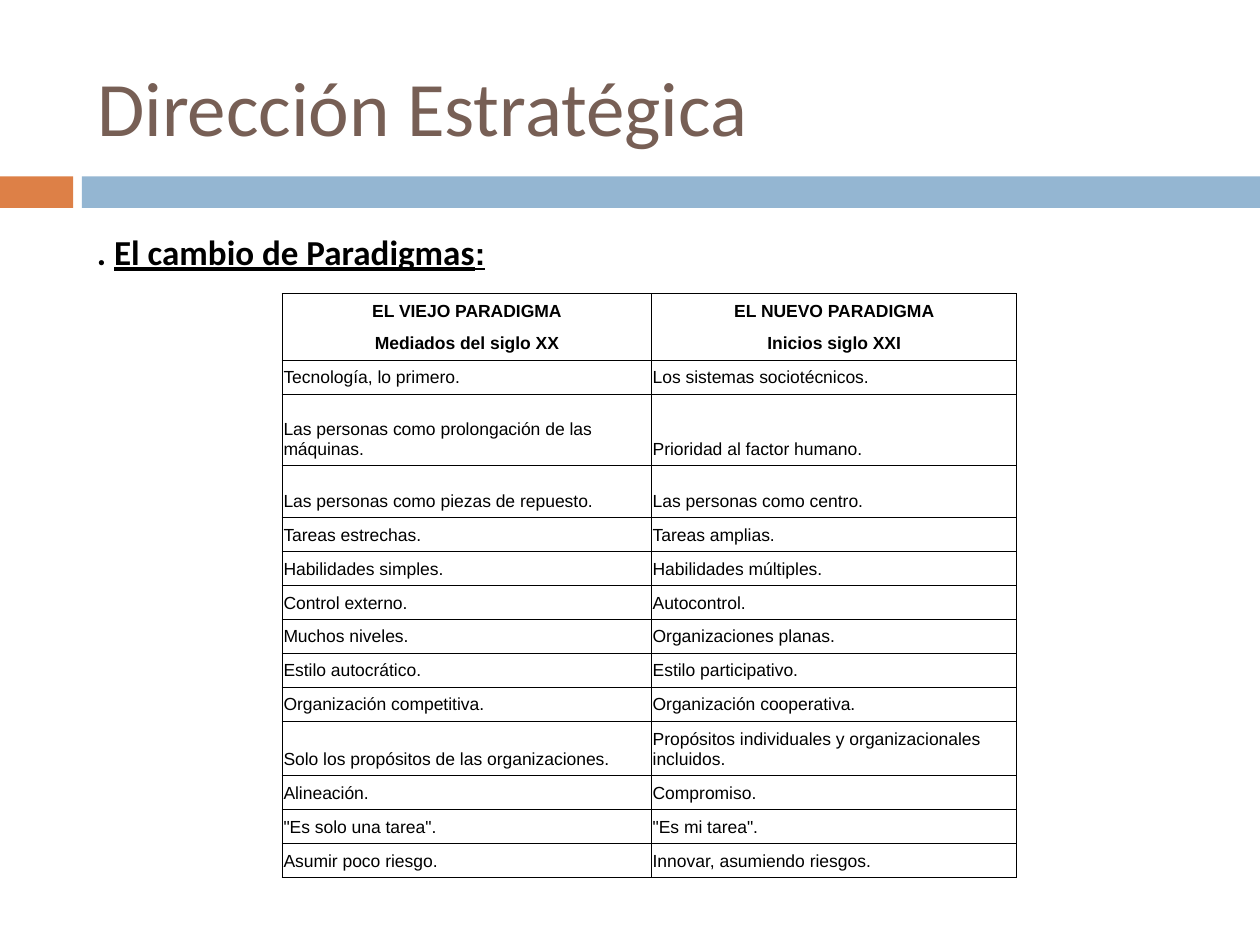
from lxml import etree
from pptx import Presentation
from pptx.dml.color import RGBColor
from pptx.enum.shapes import MSO_SHAPE
from pptx.enum.text import MSO_ANCHOR, PP_ALIGN
from pptx.oxml.ns import qn
from pptx.util import Inches, Pt

RECT = MSO_SHAPE.RECTANGLE
MIDDLE, BOTTOM = MSO_ANCHOR.MIDDLE, MSO_ANCHOR.BOTTOM
LEFT, CENTER = PP_ALIGN.LEFT, PP_ALIGN.CENTER
THIN, THICK = 0.23, 0.75


def add_run(para, text, size, face, color="000000", bold=False, under=False):
    run = para.add_run()
    run.text = text
    font = run.font
    font.size, font.name = Pt(size), face
    font.bold, font.underline = bold, under
    font.color.rgb = RGBColor.from_string(color)


def add_edge(cell, side, width):
    """Draw one black cell border; a width of 0 hides it."""
    props = cell._tc.get_or_add_tcPr()
    line = etree.SubElement(props, qn("a:ln" + side), w=str(Pt(width)))
    if width:
        fill = etree.SubElement(line, qn("a:solidFill"))
        etree.SubElement(fill, qn("a:srgbClr"), val="000000")
    else:
        etree.SubElement(line, qn("a:noFill"))


prs = Presentation()
prs.slide_width, prs.slide_height = Inches(10), Inches(7.5)
slide = prs.slides.add_slide(prs.slide_layouts[5])

# Band under the title
for left, width, color in [(0, 0.58, "DD8047"), (0.65, 9.35, "94B6D2")]:
    bar = slide.shapes.add_shape(RECT, Inches(left), Inches(1.4),
                                 Inches(width), Inches(0.25))
    bar.shadow.inherit = False
    bar.fill.solid()
    bar.fill.fore_color.rgb = RGBColor.from_string(color)
    bar.line.fill.background()

title = slide.shapes.title
title.left, title.top = Inches(0.67), Inches(0.3)
title.width, title.height = Inches(8.92), Inches(1.08)
title.text_frame.vertical_anchor = MIDDLE
para = title.text_frame.paragraphs[0]
para.alignment = LEFT
add_run(para, "Dirección Estratégica", 44, "Calibri", "775F55")

# Paradigm table: two header rows, then old against new
rows = [
    ("EL VIEJO PARADIGMA", "EL NUEVO PARADIGMA"),
    ("Mediados del siglo XX", "Inicios siglo XXI"),
    ("Tecnología, lo primero.", "Los sistemas sociotécnicos."),
    ("Las personas como prolongación de las máquinas.",
     "Prioridad al factor humano."),
    ("Las personas como piezas de repuesto.", "Las personas como centro."),
    ("Tareas estrechas.", "Tareas amplias."),
    ("Habilidades simples.", "Habilidades múltiples."),
    ("Control externo.", "Autocontrol."),
    ("Muchos niveles.", "Organizaciones planas."),
    ("Estilo autocrático.", "Estilo participativo."),
    ("Organización competitiva.", "Organización cooperativa."),
    ("Solo los propósitos de las organizaciones.",
     "Propósitos individuales y organizacionales incluidos."),
    ("Alineación.", "Compromiso."),
    ('"Es solo una tarea".', '"Es mi tarea".'),
    ("Asumir poco riesgo.", "Innovar, asumiendo riesgos."),
]
tall = {1: 0.2, 3: 0.57, 4: 0.41, 11: 0.43}
last = len(rows) - 1
table = slide.shapes.add_table(len(rows), 2, Inches(2.24), Inches(2.33),
                               Inches(5.83), Inches(4.55)).table
table.first_row = table.horz_banding = False
table.columns[0].width, table.columns[1].width = Inches(2.93), Inches(2.9)

for r, texts in enumerate(rows):
    table.rows[r].height = Inches(tall.get(r, 0.27))
    head = r < 2
    for c, text in enumerate(texts):
        cell = table.cell(r, c)
        cell.margin_left = cell.margin_right = Inches(0.01)
        cell.margin_top = cell.margin_bottom = Inches(0.05)
        cell.vertical_anchor = BOTTOM
        add_edge(cell, "L", THICK if c == 0 else THIN)
        add_edge(cell, "R", THICK if c == 1 else THIN)
        add_edge(cell, "T", {0: THICK, 1: 0}.get(r, THIN))
        add_edge(cell, "B", {0: 0, last: THICK}.get(r, THIN))
        cell.fill.background()
        para = cell.text_frame.paragraphs[0]
        para.alignment = CENTER if head else LEFT
        add_run(para, text, 10, "Arial", bold=head)

box = slide.shapes.add_textbox(Inches(0.67), Inches(1.78),
                               Inches(5.04), Inches(0.44))
box.text_frame.word_wrap = True
para = box.text_frame.paragraphs[0]
add_run(para, ". ", 20, "Calibri", bold=True)
add_run(para, "El cambio de Paradigmas", 20, "Calibri", bold=True, under=True)
add_run(para, ":", 18, "Arial", bold=True, under=True)

prs.save("out.pptx")
